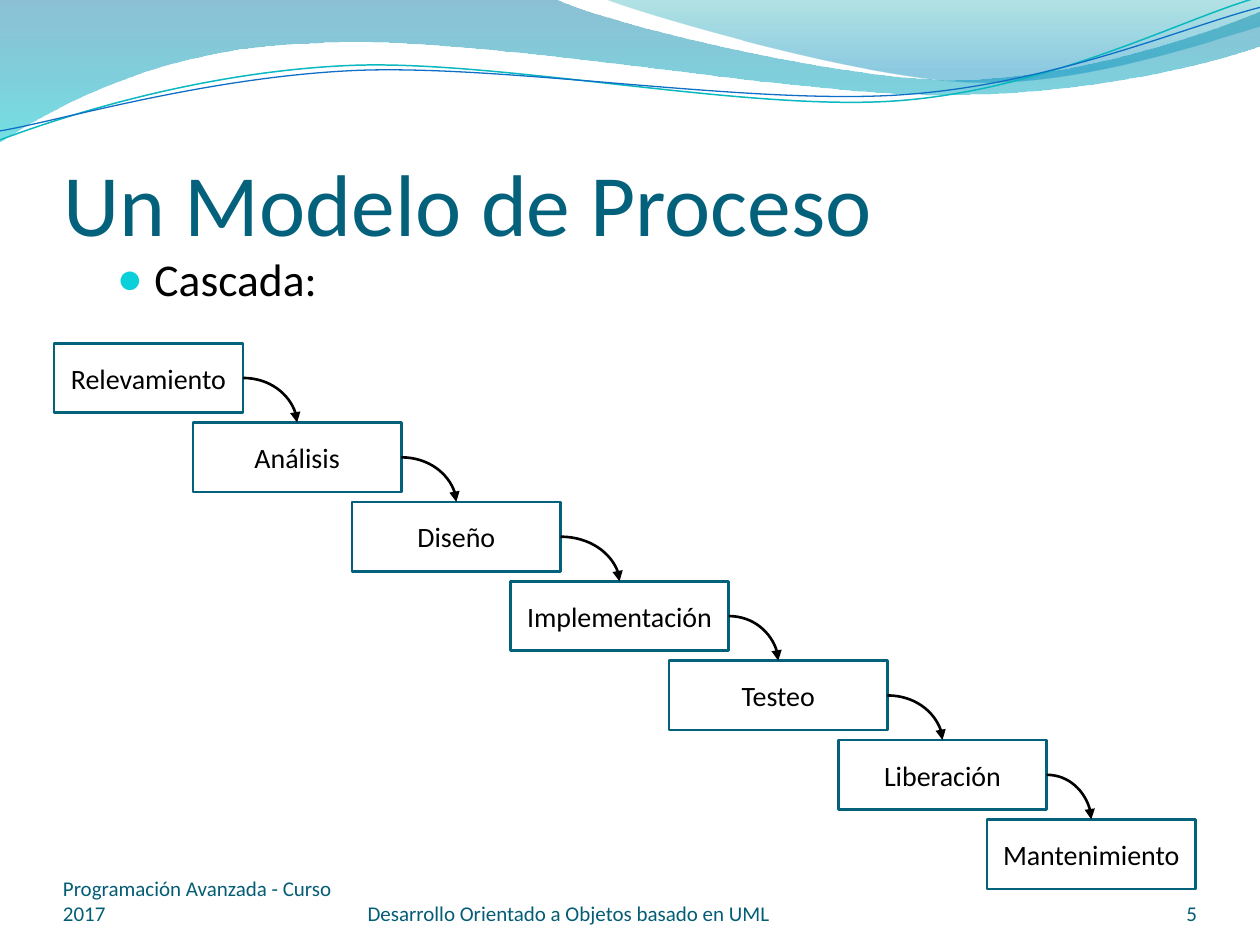
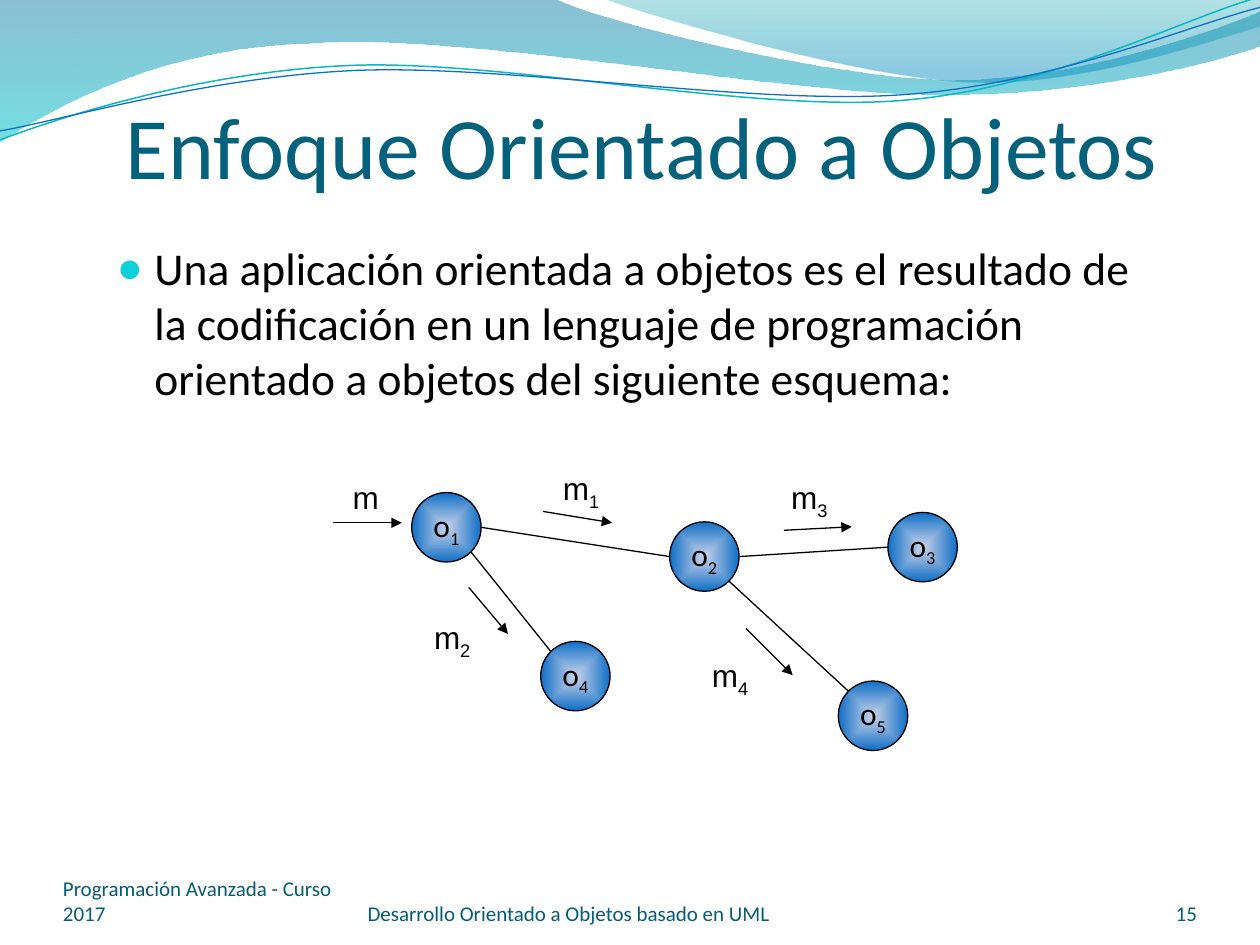
from dataclasses import dataclass
from itertools import chain, islice, pairwise
from math import cos, radians, sin

from lxml import etree
from pptx import Presentation
from pptx.dml.color import RGBColor
from pptx.enum import shapes, text
from pptx.oxml.ns import qn
from pptx.util import Cm, Pt


@dataclass(frozen=True)
class Theme:
    heading: RGBColor = RGBColor.from_string("04617B")
    footer: RGBColor = RGBColor.from_string("045D75")
    ink: RGBColor = RGBColor.from_string("000000")
    paper: RGBColor = RGBColor.from_string("FFFFFF")
    bullet: str = "0BD0D9"
    object_stops: tuple = ((0, "CBD3EA", 100), (1, "0F6FC6", 100))
    font: str = "Calibri"
    message_font: str = "Arial"
    title_size: int = 50
    body_size: int = 26
    label_size: int = 18
    stage_size: int = 16
    footer_size: int = 12


THEME = Theme()

BANDS = [
    (((0, "0074A1", 45), (1, "00C6CF", 55)), (0, 0), [
        [(11.18, -0.03)],
        [(12.09, 0.43), (16.87, 1.6), (19.25, 1.6)],
        [(21.67, 1.6), (24.33, 0.66), (25.4, 0.23)],
        [(25.43, 0.91)],
        [(24.97, 1.12), (22.1, 1.93), (18.95, 1.91)],
        [(15.8, 1.91), (9.7, 0.71), (6.53, 0.86)],
        [(3.28, 0.91), (1.17, 2.11), (-0.03, 2.87)],
        [(0, 0)]]),
    (((0, "00A1A9", 30), (0.8, "008BBF", 45)), (12.17, -0.03), [
        [(12.93, 0.28), (17.32, 1.57), (19.53, 1.65)],
        [(21.74, 1.75), (24.41, 0.81), (25.4, 0.53)],
        [(25.4, 0)],
        [(12.17, -0.03)]]),
]
RIPPLE_TILT = 2.7
RIPPLES = [
    ("0AB8BF", 0.85, (12.67, 1.46), (0, 2.82), [
        [(1.22, 2.36), (4.01, 1.45), (7.04, 1.32)],
        [(10.03, 1.19), (15.06, 2.26), (18.11, 2.03)],
        [(21.16, 1.8), (23.83, 0.38), (25.35, -0.05)]]),
    ("0F6FC6", 0.75, (12.69, 1.5), (0, 2.64), [
        [(1.19, 2.44), (4.17, 1.55), (7.19, 1.42)],
        [(10.24, 1.3), (15.16, 2.13), (18.21, 1.91)],
        [(21.23, 1.7), (23.9, 0.53), (25.4, 0.15)]]),
]
STAGES = [
    ("Relevamiento", 1.09, 3.81),
    ("Análisis", 3.89, 4.2),
    ("Diseño", 7.1, 4.2),
    ("Implementación", 10.29, 4.4),
    ("Testeo", 13.49, 4.4),
    ("Liberación", 16.9, 4.2),
    ("Mantenimiento", 19.9, 4.2),
]
OBJECT_SIZE = 1.4
OBJECTS = {
    "1": (9, 10.63),
    "2": (14.2, 11.22),
    "3": (18.6, 11.03),
    "4": (11.6, 13.63),
    "5": (17.6, 14.43),
}
LINKS = [("1", 0, "2"), ("1", 45, "4"), ("2", 45, "5"), ("2", 0, "3")]
MESSAGES = [
    ("", (6.86, 9.52), (6.71, 10.54), (8.1, 10.54)),
    ("1", (11.1, 9.34), (10.95, 10.31), (12.34, 10.54)),
    ("2", (8.5, 12.34), (9.45, 11.84), (10.24, 12.78)),
    ("3", (15.7, 9.52), (15.8, 10.69), (17.17, 10.62)),
    ("4", (14.1, 13.11), (15.04, 12.67), (15.98, 13.61)),
]


def cms(*lengths):
    return [Cm(length) for length in lengths]


def add_run(paragraph, words, size, color, font=THEME.font, subscript=False):
    run = paragraph.add_run()
    run.text = words
    run.font.name = font
    run.font.size = Pt(size)
    run.font.color.rgb = color
    if subscript:
        run._r.get_or_add_rPr().set("baseline", "-25000")


def set_margins(frame, top=0):
    frame.margin_left = frame.margin_right = frame.margin_bottom = 0
    frame.margin_top = Cm(top)


def place(item, box):
    item.left, item.top, item.width, item.height = cms(*box)


def fill_gradient(shape, stops, radial=False):
    shape.fill.gradient()
    if not radial:
        shape.fill.gradient_angle = 270
    for stop, (position, color, _) in zip(shape.fill.gradient_stops, stops):
        stop.position = position
        stop.color.rgb = RGBColor.from_string(color)
    gradient = shape.element.spPr.find(qn("a:gradFill"))
    for color, (_, _, opacity) in zip(gradient.iter(qn("a:srgbClr")), stops):
        if opacity < 100:
            etree.SubElement(color, qn("a:alpha"), val=str(opacity * 1000))
    if radial:
        gradient.remove(gradient.find(qn("a:lin")))
        focus = etree.SubElement(gradient, qn("a:path"), {"path": "shape"})
        etree.SubElement(focus, qn("a:fillToRect"),
                         {side: "50000" for side in "ltrb"})


def turn(point, pivot, degrees):
    angle = radians(degrees)
    dx, dy = point[0] - pivot[0], point[1] - pivot[1]
    return (pivot[0] + dx * cos(angle) - dy * sin(angle),
            pivot[1] + dx * sin(angle) + dy * cos(angle))


def bend(wave, segments):
    strokes = iter(list(wave.element.iter(qn("a:lnTo"))))
    for segment in segments:
        first, *others = islice(strokes, len(segment))
        if others:
            curve = etree.Element(qn("a:cubicBezTo"))
            first.addprevious(curve)
            for stroke in (first, *others):
                curve.append(stroke[0])
                stroke.getparent().remove(stroke)


def add_wave(slide, start, segments, close):
    builder = slide.shapes.build_freeform(*cms(*start))
    points = [cms(*point) for point in chain.from_iterable(segments)]
    builder.add_line_segments(points, close=close)
    wave = builder.convert_to_shape()
    bend(wave, segments)
    wave.shadow.inherit = False
    return wave


def add_band(slide, stops, start, segments):
    band = add_wave(slide, start, segments, True)
    fill_gradient(band, stops)
    band.line.fill.background()
    return band


def add_ripple(slide, color, width, pivot, start, segments):
    level = [[turn(point, pivot, RIPPLE_TILT) for point in segment]
             for segment in segments]
    ripple = add_wave(slide, turn(start, pivot, RIPPLE_TILT), level, False)
    ripple.rotation = 360 - RIPPLE_TILT
    ripple.fill.background()
    ripple.line.color.rgb = RGBColor.from_string(color)
    ripple.line.width = Pt(width)
    return ripple


def decorate_master(master, slide):
    waves = [add_band(slide, *band) for band in BANDS]
    waves += [add_ripple(slide, *ripple) for ripple in RIPPLES]
    for order, wave in enumerate(waves):
        wave.element.nvSpPr.cNvPr.set("id", str(100 + order))
        master.shapes.element.insert(2 + order, wave.element)


def set_title(slide, words, box):
    place(slide.shapes.title, box)
    frame = slide.shapes.title.text_frame
    frame.auto_size = text.MSO_AUTO_SIZE.NONE
    frame.vertical_anchor = text.MSO_ANCHOR.BOTTOM
    set_margins(frame, top=0.13)
    heading = frame.paragraphs[0]
    heading.alignment = text.PP_ALIGN.LEFT
    add_run(heading, words, THEME.title_size, THEME.heading)


def set_body(slide, words, top):
    body = slide.placeholders[1]
    place(body, (2.1, top, 21.29, 11.43))
    body.text_frame.auto_size = text.MSO_AUTO_SIZE.NONE
    item = body.text_frame.paragraphs[0]
    properties = item._p.get_or_add_pPr()
    properties.set("marL", str(Cm(0.76)))
    properties.set("indent", str(-Cm(0.76)))
    color = etree.SubElement(properties, qn("a:buClr"))
    etree.SubElement(color, qn("a:srgbClr"), val=THEME.bullet)
    etree.SubElement(properties, qn("a:buSzPct"), val="95000")
    etree.SubElement(properties, qn("a:buChar"), char="●")
    add_run(item, words, THEME.body_size, THEME.ink)


def add_footers(slide, number):
    for words, left, width, alignment in (
            ("Programación Avanzada - Curso 2017", 1.27, 5.92, text.PP_ALIGN.LEFT),
            ("Desarrollo Orientado a Objetos basado en UML", 7.41, 9.32,
             text.PP_ALIGN.LEFT),
            (number, 22.01, 2.12, text.PP_ALIGN.RIGHT)):
        footer = slide.shapes.add_textbox(*cms(left, 17.65, width, 1.02)).text_frame
        footer.word_wrap = True
        footer.vertical_anchor = text.MSO_ANCHOR.BOTTOM
        set_margins(footer)
        footer.paragraphs[0].alignment = alignment
        add_run(footer.paragraphs[0], words, THEME.footer_size, THEME.footer)


def add_node(slide, kind, box, outline, width):
    node = slide.shapes.add_shape(kind, *cms(*box))
    node.shadow.inherit = False
    node.line.color.rgb = outline
    node.line.width = Pt(width)
    node.text_frame.word_wrap = False
    node.text_frame.vertical_anchor = text.MSO_ANCHOR.MIDDLE
    node.text_frame.paragraphs[0].alignment = text.PP_ALIGN.CENTER
    return node


def add_stage(slide, name, left, top, width):
    stage = add_node(slide, shapes.MSO_SHAPE.RECTANGLE, (left, top, width, 1.4),
                     THEME.heading, 1.5)
    stage.fill.solid()
    stage.fill.fore_color.rgb = THEME.paper
    add_run(stage.text_frame.paragraphs[0], name, THEME.stage_size, THEME.ink)
    return stage


def add_object(slide, index, center):
    x, y = center
    box = (x - OBJECT_SIZE / 2, y - OBJECT_SIZE / 2, OBJECT_SIZE, OBJECT_SIZE)
    circle = add_node(slide, shapes.MSO_SHAPE.OVAL, box, THEME.ink, 0.75)
    fill_gradient(circle, THEME.object_stops, radial=True)
    label = circle.text_frame.paragraphs[0]
    add_run(label, "o", THEME.label_size, THEME.ink)
    add_run(label, index, THEME.label_size, THEME.ink, subscript=True)


def add_line(slide, start, end, width=0.75, arrow=False,
             kind=shapes.MSO_CONNECTOR.STRAIGHT):
    line = slide.shapes.add_connector(kind, *cms(*start, *end))
    line.line.color.rgb = THEME.ink
    line.line.width = Pt(width)
    properties = line.element.spPr
    if arrow:
        etree.SubElement(properties.find(qn("a:ln")), qn("a:tailEnd"), type="triangle")
    etree.SubElement(properties, qn("a:effectLst"))
    return line


def add_flow(slide, stage, following):
    flow = add_line(slide, (0, 0), (1, 1), 1.5, True, shapes.MSO_CONNECTOR.CURVE)
    flow.element.spPr.find(qn("a:prstGeom")).set("prst", "curvedConnector2")
    flow.begin_connect(stage, 3)
    flow.end_connect(following, 0)


def rim(center, degrees):
    return turn((center[0] + OBJECT_SIZE / 2, center[1]), center, degrees)


def add_message(slide, index, corner, start, end):
    add_line(slide, start, end, arrow=True)
    label = slide.shapes.add_textbox(*cms(*corner, 1.3 if index else 1.04, 1.02))
    label.text_frame.word_wrap = False
    label.text_frame.auto_size = text.MSO_AUTO_SIZE.SHAPE_TO_FIT_TEXT
    name = label.text_frame.paragraphs[0]
    style = (THEME.label_size, THEME.ink, THEME.message_font)
    add_run(name, "m", *style)
    if index:
        add_run(name, index, *style, subscript=True)


def build_cascade(slide):
    set_title(slide, "Un Modelo de Proceso", (1.27, 1.95, 22.86, 3.18))
    set_body(slide, "Cascada:", 4.93)
    stages = [add_stage(slide, name, left, 6.92 + 1.6 * step, width)
              for step, (name, left, width) in enumerate(STAGES)]
    for stage, following in pairwise(stages):
        add_flow(slide, stage, following)
    add_footers(slide, "5")


def build_objects(slide):
    set_title(slide, "Enfoque Orientado a Objetos", (2.53, 1.72, 21.16, 2.26))
    set_body(slide, "Una aplicación orientada a objetos es el resultado de la "
                    "codificación en un lenguaje de programación orientado a "
                    "objetos del siguiente esquema:", 4.72)
    for index, center in OBJECTS.items():
        add_object(slide, index, center)
    for sender, angle, receiver in LINKS:
        add_line(slide, rim(OBJECTS[sender], angle), rim(OBJECTS[receiver], angle + 180))
    for message in MESSAGES:
        add_message(slide, *message)
    add_footers(slide, "15")


def main():
    deck = Presentation()
    deck.slide_width, deck.slide_height = cms(25.4, 19.05)
    layout = deck.slide_layouts[1]
    cascade, objects = (deck.slides.add_slide(layout) for _ in range(2))
    decorate_master(deck.slide_master, cascade)
    build_cascade(cascade)
    build_objects(objects)
    deck.save("out.pptx")


if __name__ == "__main__":
    main()
